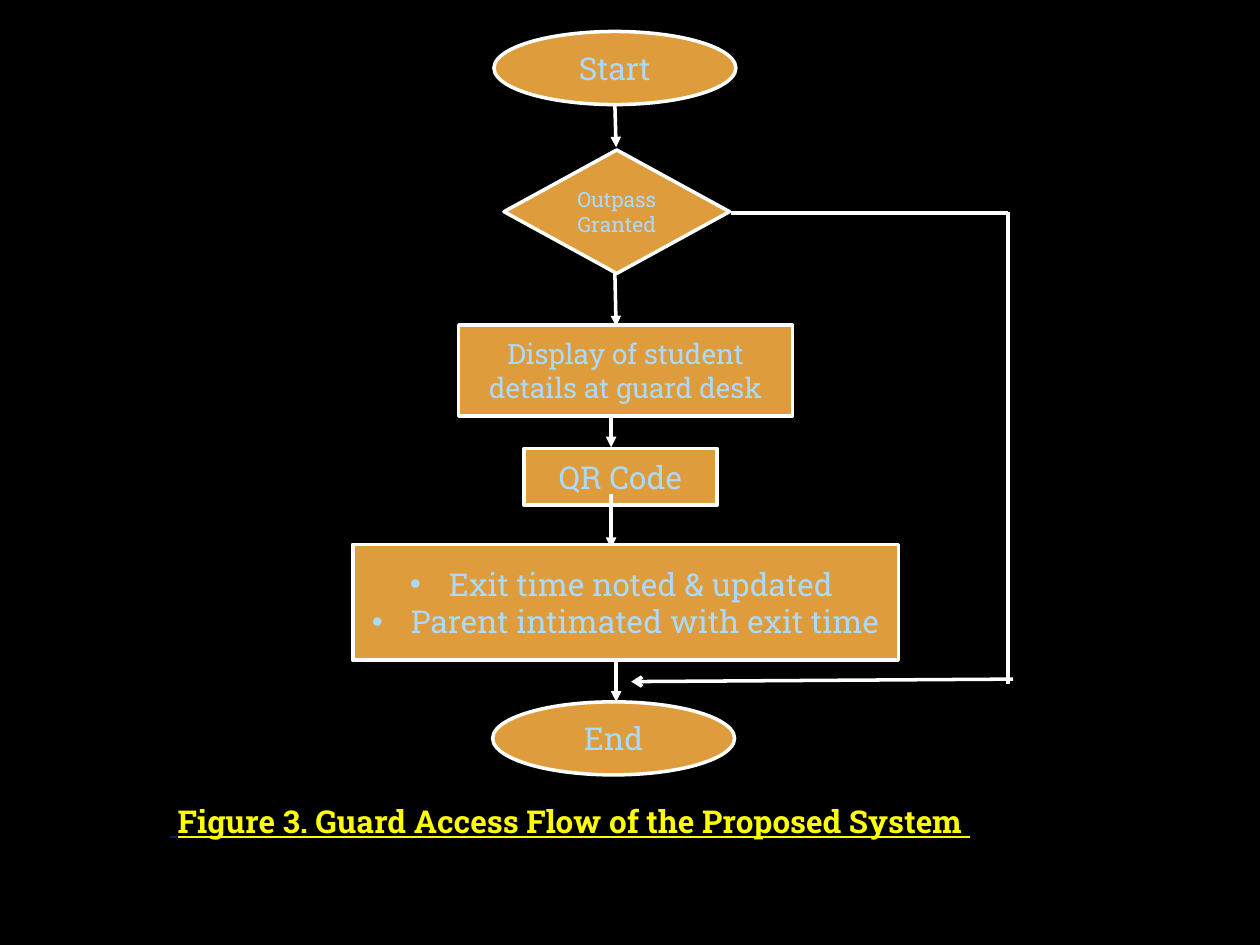
from lxml import etree
from pptx import Presentation
from pptx.dml.color import RGBColor
from pptx.enum.shapes import MSO_CONNECTOR, MSO_SHAPE as SHAPE
from pptx.enum.text import MSO_ANCHOR, MSO_AUTO_SIZE, PP_ALIGN
from pptx.oxml.ns import qn
from pptx.util import Inches, Pt

BLACK = RGBColor(0x00, 0x00, 0x00)
WHITE = RGBColor(0xFF, 0xFF, 0xFF)
ORANGE = RGBColor(0xDE, 0x9C, 0x3C)
PALE_BLUE = RGBColor(0xAB, 0xDA, 0xFC)
NAVY = RGBColor(0x00, 0x20, 0x60)
YELLOW = RGBColor(0xFF, 0xFF, 0x00)
FONT = "Roboto Slab"

deck = Presentation()
deck.slide_width, deck.slide_height = Inches(10), Inches(7.5)
page = deck.slides.add_slide(deck.slide_layouts[6])
page.background.fill.solid()
page.background.fill.fore_color.rgb = BLACK


def add_step(kind, bounds, size, lines, bulleted=False):
    box = page.shapes.add_shape(kind, *map(Inches, bounds))
    box.shadow.inherit = False
    box.fill.solid()
    box.fill.fore_color.rgb = ORANGE
    box.line.color.rgb = WHITE
    box.line.width = Pt(2)
    frame = box.text_frame
    frame.word_wrap = True
    frame.vertical_anchor = MSO_ANCHOR.MIDDLE
    for index, line in enumerate(lines):
        para = frame.paragraphs[0] if index == 0 else frame.add_paragraph()
        para.alignment = PP_ALIGN.CENTER
        span = para.add_run()
        span.text = line
        style_font(span.font, size=Pt(size), name=FONT, color=PALE_BLUE)
        if bulleted:
            props = para._p.get_or_add_pPr()
            props.set("marL", str(Inches(0.31)))
            props.set("indent", str(-Inches(0.31)))
            etree.SubElement(props, qn("a:buFont")).set("typeface", "Arial")
            etree.SubElement(props, qn("a:buChar")).set("char", "•")


def style_font(font, color, **values):
    font.color.rgb = color
    for key, value in values.items():
        setattr(font, key, value)


# Flow steps
OVAL, PROCESS = SHAPE.OVAL, SHAPE.FLOWCHART_PROCESS
for kind, bounds, size, label in [
    (OVAL, (3.92, 0.25, 1.92, 0.58), 18, "Start"),
    (SHAPE.DIAMOND, (4, 1.19, 1.79, 0.98), 12, "Outpass Granted"),
    (PROCESS, (3.64, 2.58, 2.65, 0.72), 16, "Display of student details at guard desk"),
    (PROCESS, (4.16, 3.56, 1.53, 0.45), 18, "QR Code"),
    (OVAL, (3.91, 5.57, 1.92, 0.58), 18, "End"),
]:
    add_step(kind, bounds, size, [label])

# Arrows down the flow, then the bypass on the right
for start_x, start_y, end_x, end_y, head in [
    (4.88, 0.83, 4.89, 1.17, "triangle"),
    (4.88, 2.17, 4.89, 2.59, "triangle"),
    (4.85, 3.31, 4.85, 3.55, "triangle"),
    (4.85, 3.92, 4.85, 4.35, "triangle"),
    (4.89, 5.24, 4.89, 5.57, "triangle"),
    (5.8, 1.69, 8, 1.69, None),
    (8, 1.68, 8, 5.43, None),
    (8.04, 5.39, 5.01, 5.41, "arrow"),
]:
    link = page.shapes.add_connector(
        MSO_CONNECTOR.STRAIGHT, *map(Inches, (start_x, start_y, end_x, end_y)))
    link.line.color.rgb = WHITE
    link.line.width = Pt(2)
    if head:
        etree.SubElement(link.line._get_or_add_ln(), qn("a:tailEnd")).set("type", head)
    etree.SubElement(link._element.spPr, qn("a:effectLst"))

# Exit step lies over the tip of the arrow that leads to it
add_step(PROCESS, (2.8, 4.32, 4.33, 0.92), 18,
         ["Exit time noted & updated ", "Parent intimated with exit time"], bulleted=True)

# Caption
caption = page.shapes.add_textbox(*map(Inches, (1.25, 6.32, 7.25, 0.4)))
caption.text_frame.word_wrap = True
caption.text_frame.auto_size = MSO_AUTO_SIZE.SHAPE_TO_FIT_TEXT
para = caption.text_frame.paragraphs[0]
for text, color in [
    (" ", NAVY),
    ("Figure 3. Guard Access Flow of the Proposed System ", YELLOW),
]:
    span = para.add_run()
    span.text = text
    style_font(span.font, color, size=Pt(18), name=FONT, bold=True, underline=True)

deck.save("out.pptx")
